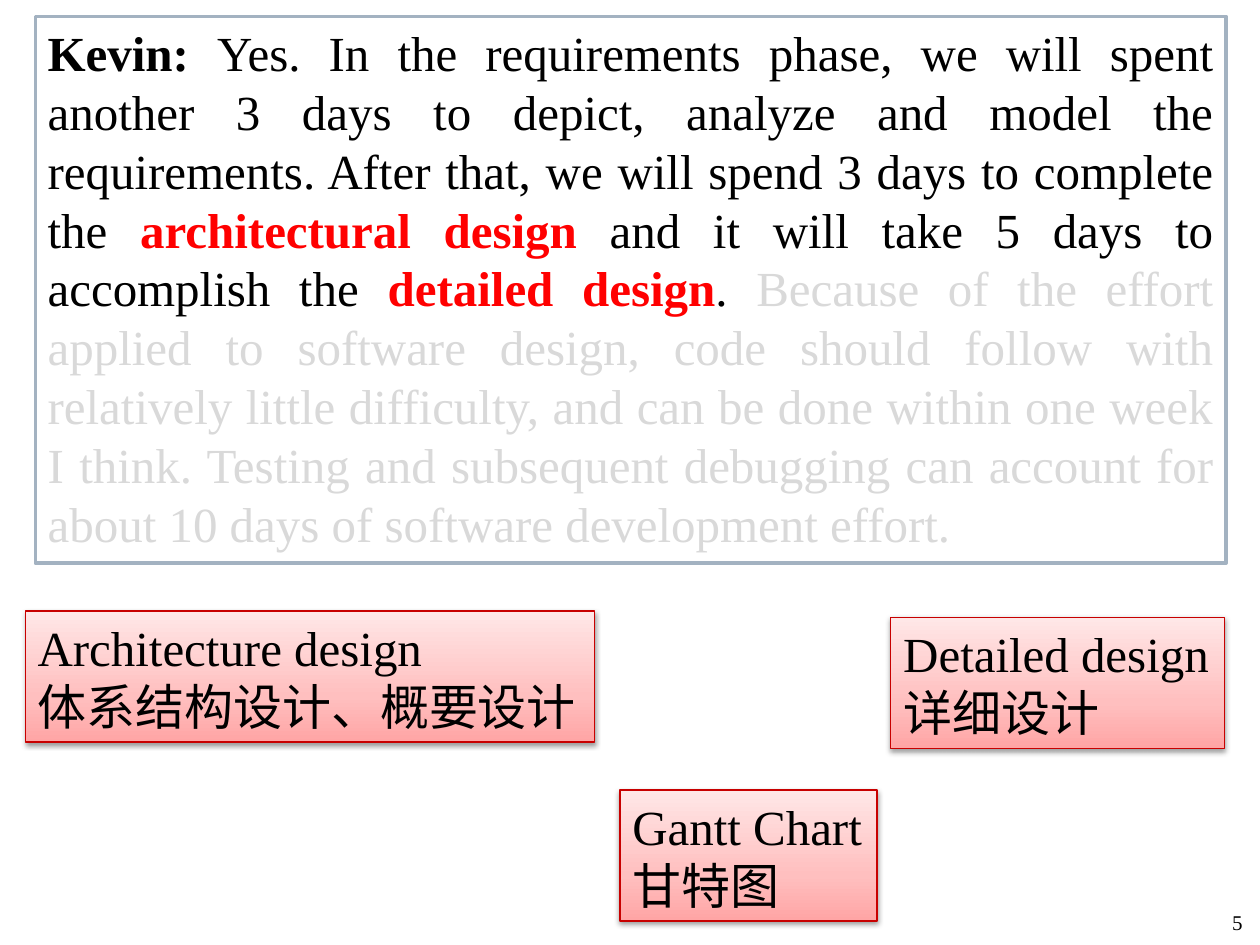
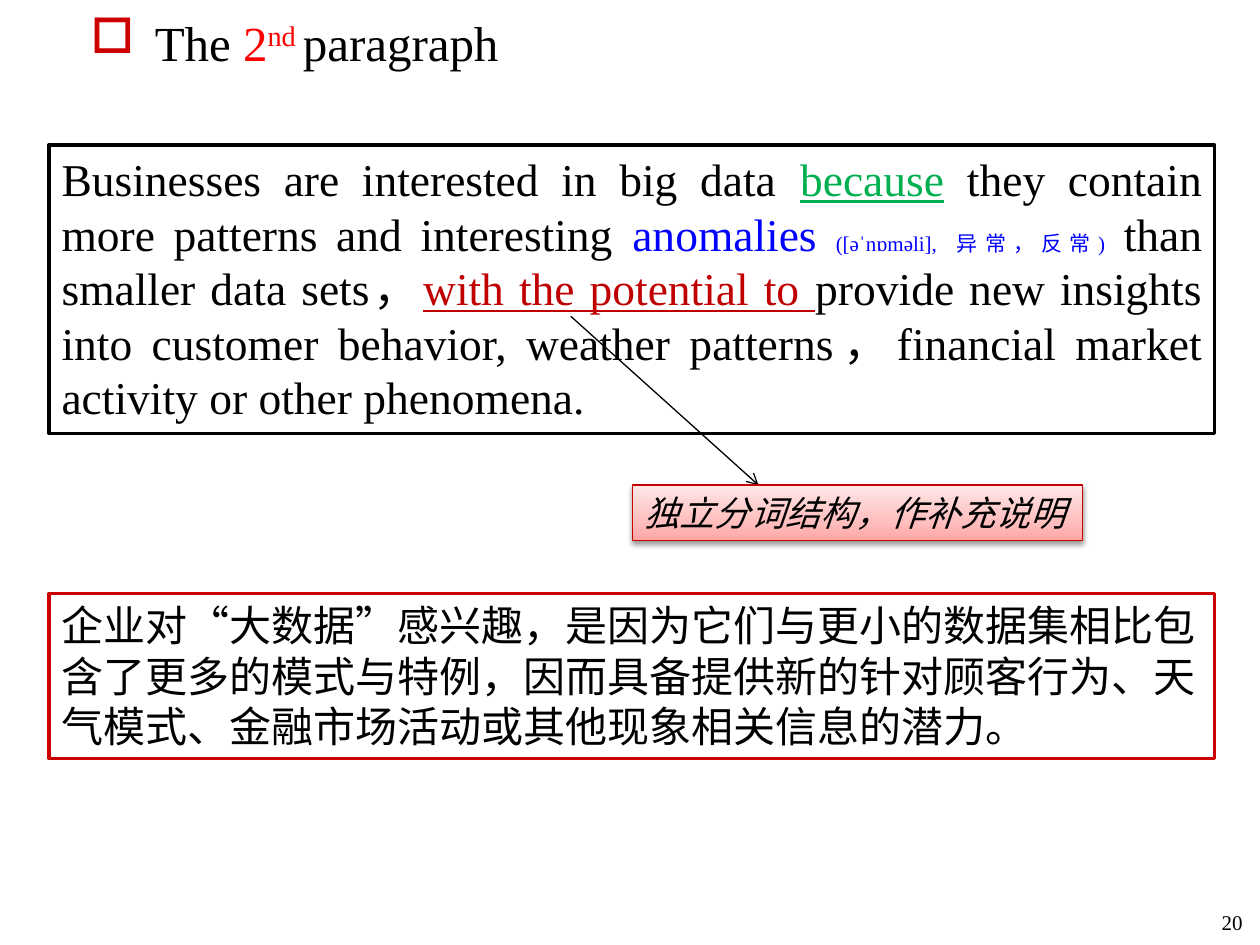
from copy import deepcopy
from dataclasses import dataclass

from lxml.etree import SubElement
from pptx import Presentation
from pptx.dml.color import RGBColor
from pptx.enum.shapes import MSO_CONNECTOR, MSO_SHAPE
from pptx.enum.text import MSO_ANCHOR, MSO_AUTO_SIZE, PP_ALIGN
from pptx.oxml.ns import qn
from pptx.util import Inches, Pt

FONT = "Times New Roman"
BLACK = RGBColor(0x00, 0x00, 0x00)
WHITE = RGBColor(0xFF, 0xFF, 0xFF)
RED = RGBColor(0xFF, 0x00, 0x00)
DARK_RED = RGBColor(0xC0, 0x00, 0x00)
GREEN = RGBColor(0x00, 0xB0, 0x50)
BLUE = RGBColor(0x00, 0x00, 0xFF)
GREY = RGBColor(0xD9, 0xD9, 0xD9)
STEEL = RGBColor(0xA3, 0xB2, 0xC1)
FRAME_RED = RGBColor(0xCC, 0x00, 0x00)
NOTE_LINE = RGBColor(0xC8, 0x00, 0x00)
NOTE_STOPS = [
    (0, RGBColor(0xFF, 0xA5, 0xA5)),
    (0.35, RGBColor(0xFF, 0xBF, 0xBF)),
    (1, RGBColor(0xFF, 0xE7, 0xE7)),
]
COLUMNS, ROWS = 100, 75


@dataclass
class Box:
    left: int
    top: int
    width: int
    height: int

    def point(self, col, row):
        return (self.left + round(self.width * col / COLUMNS),
                self.top + round(self.height * row / ROWS))

    def cells(self, col, row, cols, rows):
        return Box(*self.point(col, row),
                   round(self.width * cols / COLUMNS), round(self.height * rows / ROWS))

    def bounds(self):
        return self.left, self.top, self.width, self.height


def add_run(p, text, size, color=BLACK, bold=False, italic=False, underline=False, raised=False):
    r = p.add_run()
    r.text = text
    font = r.font
    font.name, font.size, font.color.rgb = FONT, Pt(size), color
    font.bold, font.italic, font.underline = bold, italic, underline
    if raised:
        r.font._element.set("baseline", "30000")


def fill_text(tf, paragraphs, size, align=PP_ALIGN.LEFT, anchor=MSO_ANCHOR.TOP, wrap=True):
    tf.word_wrap = wrap
    tf.vertical_anchor = anchor
    for i, runs in enumerate(paragraphs):
        p = tf.add_paragraph() if i else tf.paragraphs[0]
        p.alignment = align
        for text, style in runs:
            add_run(p, text, **{"size": size, **style})


def add_frame(s, box, line, paragraphs, size, align=PP_ALIGN.LEFT):
    sp = s.shapes.add_shape(MSO_SHAPE.RECTANGLE, *box.bounds())
    sp.shadow.inherit = False
    sp.fill.solid()
    sp.fill.fore_color.rgb = WHITE
    sp.line.color.rgb, sp.line.width = line, Pt(2)
    fill_text(sp.text_frame, paragraphs, size, align)
    sp.text_frame.auto_size = MSO_AUTO_SIZE.SHAPE_TO_FIT_TEXT


def add_note(s, box, lines, size=28, italic=False):
    sp = s.shapes.add_shape(MSO_SHAPE.RECTANGLE, *box.bounds())
    sp.fill.gradient()
    sp.fill.gradient_angle = 90
    spPr = sp._element.spPr
    first = spPr.find(qn("a:gradFill")).find(qn("a:gsLst"))[0]
    first.addnext(deepcopy(first))
    for stop, (position, color) in zip(sp.fill.gradient_stops, NOTE_STOPS):
        stop.position, stop.color.rgb = position, color
    sp.line.color.rgb, sp.line.width = NOTE_LINE, Pt(0.75)
    sp.shadow.inherit = False
    shadow = SubElement(spPr.find(qn("a:effectLst")), qn("a:outerShdw"), blurRad="40000",
                        dist="20000", dir="5400000", rotWithShape="0")
    color = SubElement(shadow, qn("a:srgbClr"), val=str(BLACK))
    SubElement(color, qn("a:alpha"), val="38000")
    fill_text(sp.text_frame, [[(line, {"italic": italic})] for line in lines], size, wrap=False)
    sp.text_frame.auto_size = MSO_AUTO_SIZE.SHAPE_TO_FIT_TEXT


def add_heading(s, box, runs):
    tf = s.shapes.add_textbox(*box.bounds()).text_frame
    fill_text(tf, [runs], 28)
    p = tf.paragraphs[0]
    p.space_before = Pt(2.8)
    pPr = p._p.get_or_add_pPr()
    hang = Inches(0.51)
    pPr.set("marL", str(hang))
    pPr.set("indent", str(-hang))
    SubElement(SubElement(pPr, qn("a:buClr")), qn("a:srgbClr"), val=str(FRAME_RED))
    SubElement(pPr, qn("a:buChar"), char="□")


def add_arrow(s, start, end):
    line = s.shapes.add_connector(MSO_CONNECTOR.STRAIGHT, *start, *end)
    line.line.color.rgb, line.line.width = BLACK, Pt(0.75)
    SubElement(line.line._get_or_add_ln(), qn("a:tailEnd"), type="arrow")
    SubElement(line._element.spPr, qn("a:effectLst"))


def add_page(prs, number):
    s = prs.slides.add_slide(prs.slide_layouts[6])
    s.background.fill.solid()
    s.background.fill.fore_color.rgb = WHITE
    page = Box(0, 0, prs.slide_width, prs.slide_height)
    tf = s.shapes.add_textbox(*page.cells(93.7, 69, 5.9, 5.7).bounds()).text_frame
    fill_text(tf, [[(str(number), {})]], 12, PP_ALIGN.RIGHT, MSO_ANCHOR.BOTTOM)
    return s, page


def build_dialogue(s, page):
    term = {"color": RED, "bold": True}
    speech = [
        ("Kevin: ", {"bold": True}),
        ("Yes. In the requirements phase, we will spent another 3 days to depict, analyze and "
         "model the requirements. After that, we will spend 3 days to complete the ", {}),
        ("architectural design", term),
        (" and it will take 5 days to accomplish the ", {}),
        ("detailed design", term),
        (". ", {}),
        ("Because of the effort applied to software design, code should follow with relatively "
         "little difficulty, and can be done within one week I think. Testing and subsequent "
         "debugging can account for about 10 days of software development effort.",
         {"color": GREY}),
    ]
    add_frame(s, page.cells(2.8, 1.3, 94.5, 43.4), STEEL, [speech], 28, PP_ALIGN.JUSTIFY)
    glossary = [
        (2, 48.5, 45.2, "Architecture design", "体系结构设计、概要设计"),
        (70.7, 49, 26.5, "Detailed design", "详细设计"),
        (49.2, 62.7, 20.4, "Gantt Chart", "甘特图"),
    ]
    for col, row, cols, english, chinese in glossary:
        add_note(s, page.cells(col, row, cols, 10.4), [english, chinese])


def build_reading(s, page):
    add_heading(s, page.cells(6.2, 0.5, 87.5, 54.3), [
        ("The ", {}),
        ("2", {"color": RED}),
        ("nd ", {"color": RED, "raised": True}),
        ("paragraph", {}),
    ])
    translation = ("企业对“大数据”感兴趣，是因为它们与更小的数据集相比包含了更多的模式与特例，"
                   "因而具备提供新的针对顾客行为、天气模式、金融市场活动或其他现象相关信息的潜力。")
    add_frame(s, page.cells(3.9, 47.1, 92.5, 13.1), FRAME_RED, [[(translation, {})]], 24)
    passage = [
        ("Businesses are interested in big data ", {}),
        ("because", {"color": GREEN, "underline": True}),
        (" they contain more patterns and interesting ", {}),
        ("anomalies ", {"color": BLUE}),
        ("([əˈnɒməli], 异常，反常)", {"color": BLUE, "size": 12}),
        (" than smaller data sets，", {}),
        ("with the potential to ", {"color": DARK_RED, "underline": True}),
        ("provide new insights into customer behavior, weather patterns，financial market "
         "activity or other phenomena.", {}),
    ]
    add_frame(s, page.cells(3.9, 11.5, 92.5, 22.9), BLACK, [passage], 26, PP_ALIGN.JUSTIFY)
    add_arrow(s, page.point(45.3, 25.1), page.point(60.2, 38.5))
    add_note(s, page.cells(50.2, 38.5, 35.7, 4.4), ["独立分词结构，作补充说明"], 20, italic=True)


def main():
    prs = Presentation()
    prs.slide_width, prs.slide_height = Inches(10), Inches(7.5)
    build_dialogue(*add_page(prs, 5))
    build_reading(*add_page(prs, 20))
    prs.save("out.pptx")


if __name__ == "__main__":
    main()
